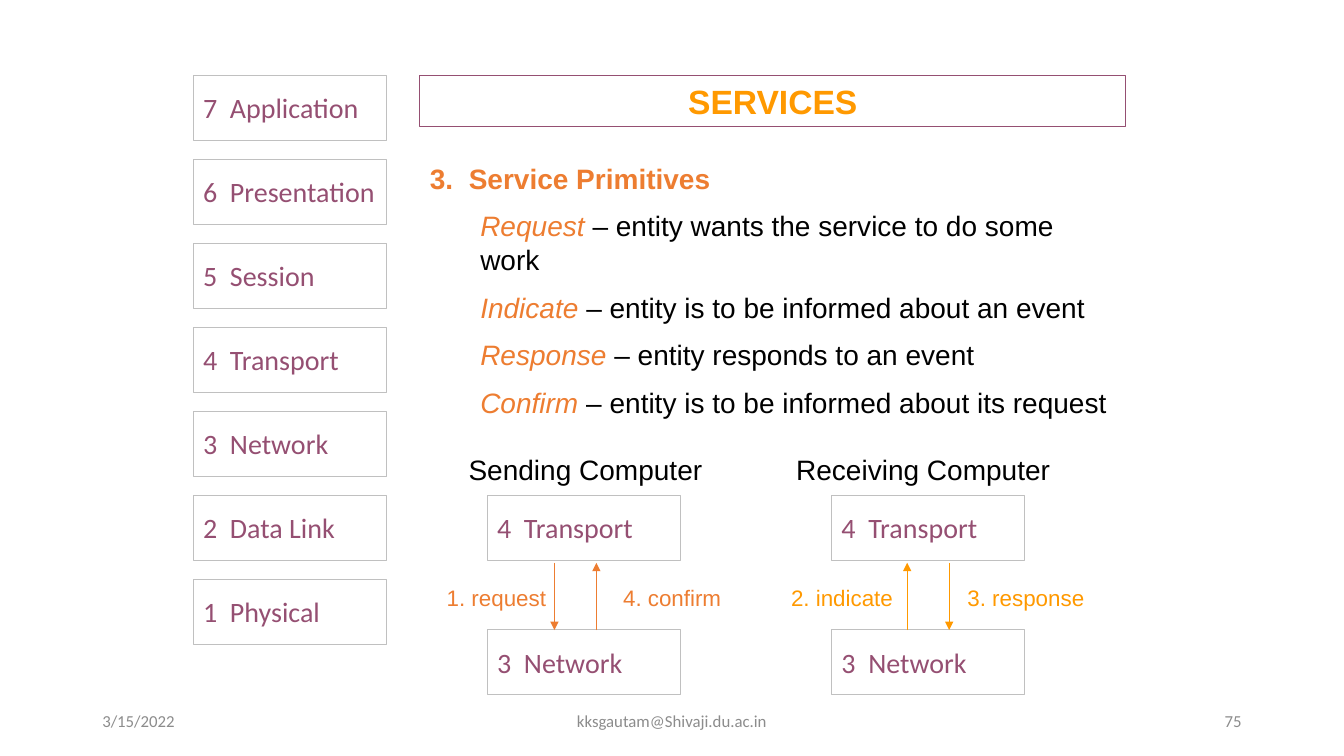
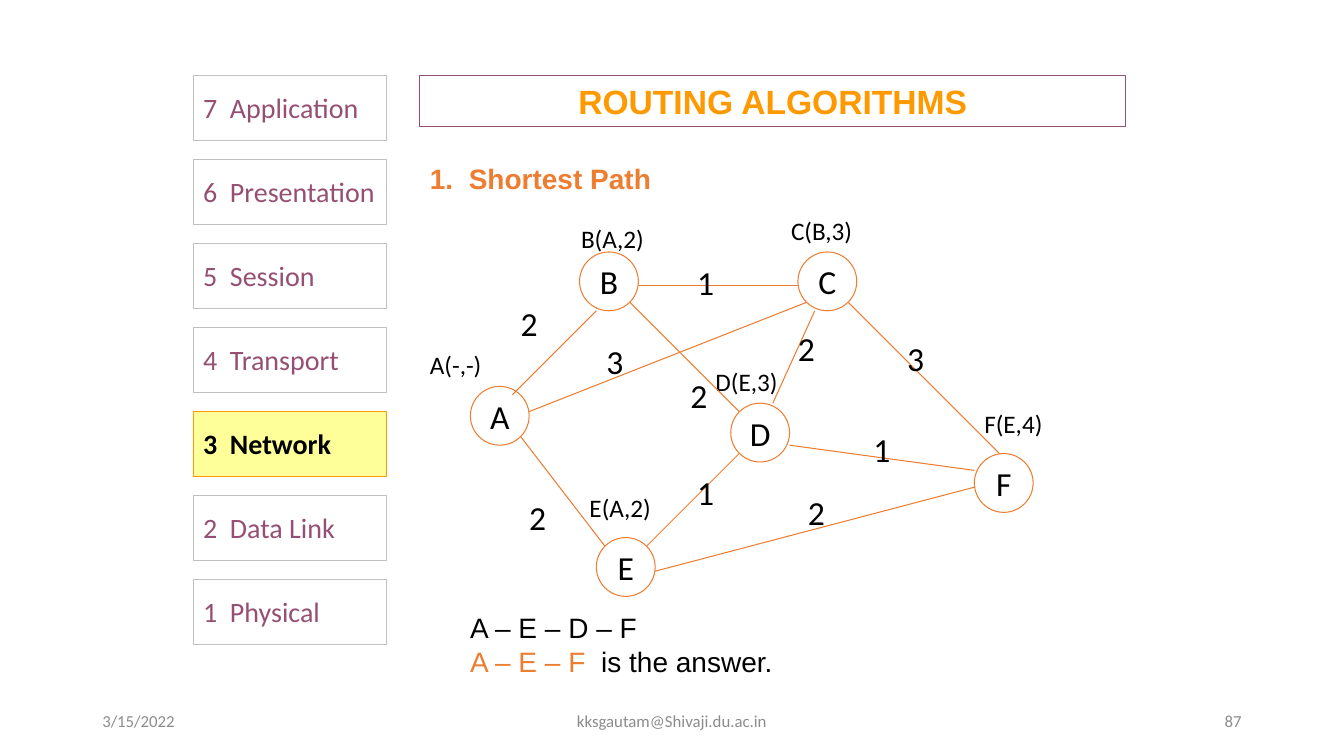
from dataclasses import dataclass
from typing import NamedTuple

from pptx import Presentation
from pptx.dml.color import RGBColor
from pptx.enum.shapes import MSO_CONNECTOR as Connector, MSO_SHAPE as Shape
from pptx.enum.text import MSO_ANCHOR as Anchor, MSO_AUTO_SIZE as AutoSize, PP_ALIGN as Align
from pptx.oxml.ns import qn
from pptx.oxml.xmlchemy import OxmlElement
from pptx.util import Emu, Inches, Pt

# The slide is a grid of 160 columns by 90 rows, twelve cells to the inch
COLUMNS, ROWS = 160, 90
CELL = Inches(1) / 12
TITLE_ONLY = 5

ORANGE = RGBColor(0xED, 0x7D, 0x31)
AMBER = RGBColor(0xFF, 0x99, 0x00)
PLUM = RGBColor(0x95, 0x4F, 0x72)
SILVER = RGBColor(0xC0, 0xC0, 0xC0)
GREY = RGBColor(0x8C, 0x8C, 0x8C)
YELLOW = RGBColor(0xFF, 0xFF, 0x99)
BLACK = RGBColor(0x00, 0x00, 0x00)

HEADING_FONT, BODY_FONT = "Arial", "Calibri"
LAYERS = ["7  Application", "6  Presentation", "5  Session", "4  Transport",
          "3  Network", "2  Data Link", "1  Physical"]
TRANSPORT, NETWORK = LAYERS[3], LAYERS[4]
LAYER_WIDTH, LAYER_HEIGHT, LAYER_STEP = 23, 7.68, 10
LABEL_HEIGHT = 4.8


class Area(NamedTuple):
    left: float
    top: float
    width: float
    height: float


class Point(NamedTuple):
    column: float
    row: float


class Span(NamedTuple):
    text: str
    color: RGBColor = BLACK
    bold: bool = False
    italic: bool = False


@dataclass
class Arrow:
    column: float
    downward: bool
    label: str
    label_column: float


@dataclass
class Computer:
    name: str
    name_column: float
    column: float
    color: RGBColor
    arrows: list[Arrow]


@dataclass
class Node:
    name: str
    place: Point
    label: str
    label_place: Point


@dataclass
class Edge:
    start: Point
    end: Point
    weight: str
    weight_place: Point


# Content
PRIMITIVES = [
    ("Request", " – entity wants the service to do some work"),
    ("Indicate", " – entity is to be informed about an event"),
    ("Response", " – entity responds to an event"),
    ("Confirm", " – entity is to be informed about its request"),
]
COMPUTERS = [
    Computer("Sending Computer", 54.6, 58, ORANGE, [
        Arrow(66, True, "1. request", 52), Arrow(71, False, "4. confirm", 73)]),
    Computer("Receiving Computer", 93.6, 99, AMBER, [
        Arrow(108, False, "2. indicate", 93), Arrow(113, True, "3. response", 114)]),
]
NODES = [
    Node("A", Point(56, 46), "A(-,-)", Point(50, 41)),
    Node("B", Point(69, 30), "B(A,2)", Point(68, 26)),
    Node("C", Point(95, 30), "C(B,3)", Point(93, 25)),
    Node("D", Point(87, 48), "D(E,3)", Point(84, 43)),
    Node("E", Point(71, 64), "E(A,2)", Point(69, 58)),
    Node("F", Point(116, 54), "F(E,4)", Point(116, 48)),
]
EDGES = [
    Edge(Point(61, 47), Point(71, 37), "2", Point(60.8, 35.5)),
    Edge(Point(76, 34), Point(95, 34), "1", Point(81.8, 30.6)),
    Edge(Point(92, 48), Point(97, 37), "2", Point(93.8, 38.5)),
    Edge(Point(62, 52), Point(72, 65), "2", Point(61.8, 58.6)),
    Edge(Point(77, 65), Point(88, 54), "1", Point(81.8, 55.6)),
    Edge(Point(63, 49), Point(96, 36), "3", Point(71, 40)),
    Edge(Point(78, 68), Point(116, 58), "2", Point(95, 58)),
    Edge(Point(94, 53), Point(116, 56), "1", Point(102.8, 50.5)),
    Edge(Point(101, 36), Point(119, 54), "3", Point(106.8, 39.6)),
    Edge(Point(75, 36), Point(88, 49), "2", Point(81, 44)),
]


# Drawing helpers
def cells(*counts: float) -> list[Emu]:
    return [Emu(round(count * CELL)) for count in counts]


def write_para(para, spans: list[Span], *, size: float, font: str = BODY_FONT,
               align=Align.LEFT, before: float = 0, indent: float = 0) -> None:
    para.alignment = align
    para.space_before = Pt(before)
    if indent:
        para._p.get_or_add_pPr().set("marL", str(cells(indent)[0]))
    for span in spans:
        run = para.add_run()
        run.text = span.text
        run.font.name, run.font.size = font, Pt(size)
        run.font.bold, run.font.italic = span.bold, span.italic
        run.font.color.rgb = span.color


def set_frame(frame, *, anchor=Anchor.TOP, inset_x: float = 0.1, inset_y: float = 0.05) -> None:
    frame.word_wrap = True
    frame.auto_size = AutoSize.NONE
    frame.vertical_anchor = anchor
    frame.margin_left = frame.margin_right = Inches(inset_x)
    frame.margin_top = frame.margin_bottom = Inches(inset_y)


def add_text(page, area: Area, text: str, *, color: RGBColor = BLACK, bold: bool = False,
             anchor=Anchor.TOP, **style):
    """Add a text box with one paragraph and return its frame."""
    frame = page.shapes.add_textbox(*cells(*area)).text_frame
    set_frame(frame, anchor=anchor)
    write_para(frame.paragraphs[0], [Span(text, color, bold)], **style)
    return frame


def set_outline(item, color: RGBColor) -> None:
    item.line.color.rgb = color
    item.line.width = Pt(0.75)


def add_box(page, kind, area: Area, text: str, *, line: RGBColor, fill: RGBColor | None = None,
            color: RGBColor = BLACK, bold: bool = False, anchor=Anchor.TOP,
            inset_x: float = 0.1, inset_y: float = 0.15, **style) -> None:
    box = page.shapes.add_shape(kind, *cells(*area))
    box.shadow.inherit = False
    set_outline(box, line)
    if fill is None:
        box.fill.background()
    else:
        box.fill.solid()
        box.fill.fore_color.rgb = fill
    set_frame(box.text_frame, anchor=anchor, inset_x=inset_x, inset_y=inset_y)
    write_para(box.text_frame.paragraphs[0], [Span(text, color, bold)], **style)


def add_line(page, start: Point, end: Point, *, color: RGBColor, arrow: bool = False) -> None:
    line = page.shapes.add_connector(Connector.STRAIGHT, *cells(*start, *end))
    set_outline(line, color)
    if arrow:
        head = OxmlElement("a:tailEnd")
        head.set("type", "triangle")
        line.line._get_or_add_ln().append(head)
    line._element.find(qn("p:spPr")).append(OxmlElement("a:effectLst"))


# Parts shared by the slides
def add_layer(page, column: float, row: float, text: str, *, active: bool = False) -> None:
    add_box(page, Shape.RECTANGLE, Area(column, row, LAYER_WIDTH, LAYER_HEIGHT), text,
            line=AMBER if active else SILVER, fill=YELLOW if active else None,
            color=BLACK if active else PLUM, bold=active, size=20)


def add_page(deck, title: str, heading: str, number: int, active: str = ""):
    """Add a slide with title, layer stack, heading and footer; return it and the body frame."""
    page = deck.slides.add_slide(deck.slide_layouts[TITLE_ONLY])
    banner = page.shapes.title
    banner.left, banner.top, banner.width, banner.height = cells(50, 9, 84, 6.1)
    set_outline(banner, PLUM)
    set_frame(banner.text_frame, anchor=Anchor.MIDDLE)
    write_para(banner.text_frame.paragraphs[0], [Span(title, AMBER, bold=True)],
               size=24, font=HEADING_FONT, align=Align.CENTER)

    for index, layer in enumerate(LAYERS):
        add_layer(page, 23, 9 + index * LAYER_STEP, layer, active=layer == active)

    body = add_text(page, Area(50, 18.6, 84, 5), heading, color=ORANGE, bold=True,
                    size=20, font=HEADING_FONT)

    footers = [(11, 36, "3/15/2022", Align.LEFT),
               (53, 54, "kksgautam@Shivaji.du.ac.in", Align.CENTER),
               (113, 36, str(number), Align.RIGHT)]
    for column, width, text, align in footers:
        add_text(page, Area(column, 83.4, width, LABEL_HEIGHT), text, color=GREY,
                 anchor=Anchor.MIDDLE, size=12, align=align)
    return page, body


# Slides
def add_services(deck) -> None:
    page, body = add_page(deck, "SERVICES", "3.  Service Primitives", 75)
    for term, meaning in PRIMITIVES:
        write_para(body.add_paragraph(), [Span(term, ORANGE, italic=True), Span(meaning)],
                   size=20, font=HEADING_FONT, before=10, indent=6)

    transport_row, network_row, arrow_row = 59, 75, 67
    for computer in COMPUTERS:
        add_text(page, Area(computer.name_column, 53.3, 36, 5), computer.name,
                 size=20, font=HEADING_FONT)
        add_layer(page, computer.column, transport_row, TRANSPORT)
        add_layer(page, computer.column, network_row, NETWORK)
        for arrow in computer.arrows:
            ends = [Point(arrow.column, arrow_row), Point(arrow.column, network_row)]
            start, end = ends if arrow.downward else reversed(ends)
            add_line(page, start, end, color=computer.color, arrow=True)
            add_text(page, Area(arrow.label_column, 69, 18, 4.4), arrow.label,
                     color=computer.color, size=16, font=HEADING_FONT)


def add_routing(deck) -> None:
    page, _ = add_page(deck, "ROUTING ALGORITHMS", "1.  Shortest Path", 87, active=NETWORK)
    for node in NODES:
        add_box(page, Shape.OVAL, Area(*node.place, 7, 7), node.name, line=ORANGE,
                anchor=Anchor.MIDDLE, inset_x=0, inset_y=0, size=24, align=Align.CENTER)
        add_text(page, Area(*node.label_place, 12, LABEL_HEIGHT), node.label, size=18)
    for edge in EDGES:
        add_line(page, edge.start, edge.end, color=ORANGE)
        add_text(page, Area(*edge.weight_place, 4.4, 6), edge.weight, size=24)

    answer = add_text(page, Area(54.8, 72.1, 45, 9.2), "A – E – D – F",
                      size=20, font=HEADING_FONT)
    write_para(answer.add_paragraph(), [Span("A – E – F", ORANGE), Span("  is the answer.")],
               size=20, font=HEADING_FONT)


def main() -> None:
    deck = Presentation()
    deck.slide_width, deck.slide_height = cells(COLUMNS, ROWS)
    add_services(deck)
    add_routing(deck)
    deck.save("out.pptx")


if __name__ == "__main__":
    main()
